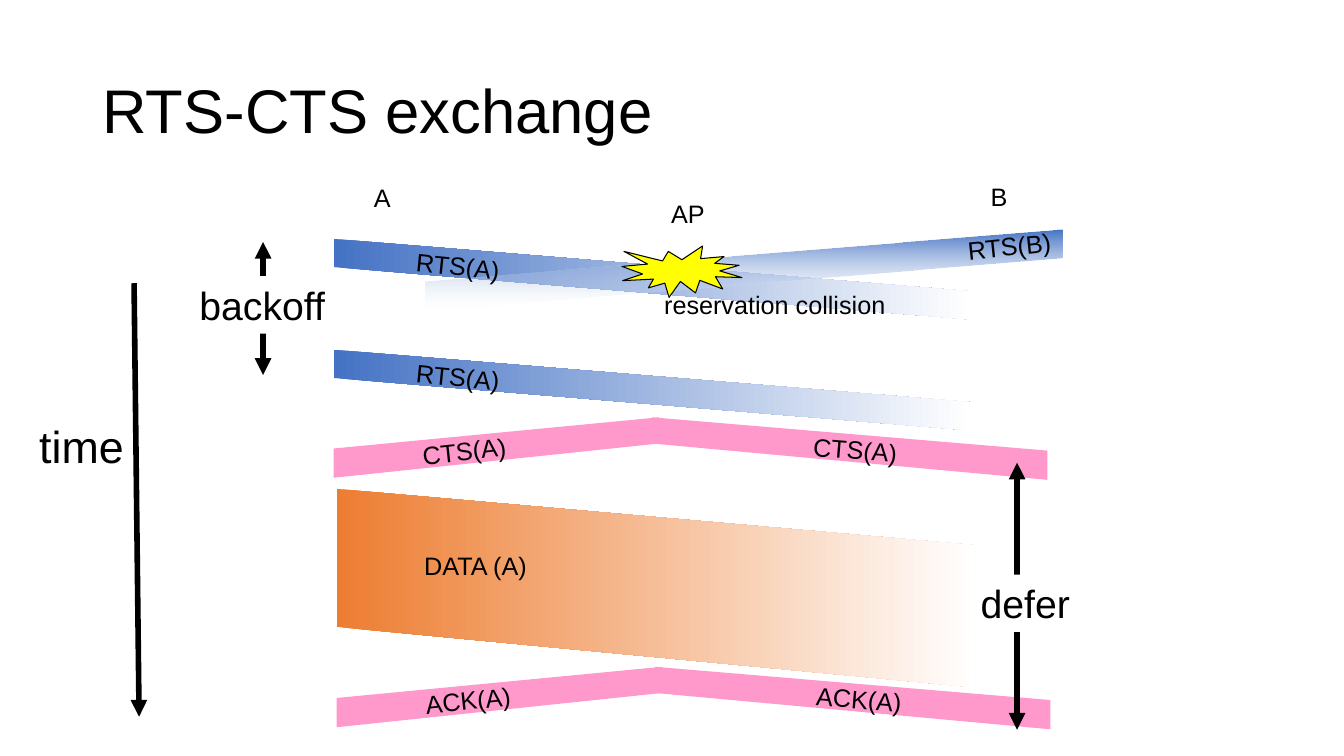
from lxml import etree
from pptx import Presentation
from pptx import util as u
from pptx.dml.color import RGBColor
from pptx.enum import shapes, text
from pptx.oxml.ns import qn

COLORS = {
    "ink": "000000", "paper": "FFFFFF", "request": "4472C4",
    "reply": "FF99CC", "data": "ED7D31", "collision": "FFFF00",
}
RGB = {name: RGBColor.from_string(value) for name, value in COLORS.items()}
CELL = u.Inches(0.1)  # the slide is a grid of 133.33 columns by 75 rows

deck = Presentation()
deck.slide_width, deck.slide_height = round(133.33 * CELL), 75 * CELL
page = deck.slides.add_slide(deck.slide_layouts[6])


def write(words, left, top, width, height=4, size=18, turn=0, plate=False):
    """Add a label; a plate is a white rectangle that hides the arrow behind it."""
    place = [round(n * CELL) for n in (left, top, width, height)]
    if plate:
        box = page.shapes.add_shape(shapes.MSO_SHAPE.RECTANGLE, *place)
        box.shadow.inherit = False
        box.fill.solid()
        box.fill.fore_color.rgb = RGB["paper"]
        box.line.fill.background()
    else:
        box = page.shapes.add_textbox(*place)
    box.rotation = turn
    frame = box.text_frame
    frame.word_wrap = False
    frame.vertical_anchor = text.MSO_ANCHOR.TOP
    para = frame.paragraphs[0]
    para.alignment = text.PP_ALIGN.LEFT
    span = para.add_run()
    span.text = words
    for name, value in {"name": "Arial", "size": u.Pt(size)}.items():
        setattr(span.font, name, value)
    span.font.color.rgb = RGB["ink"]
    return box


def band(left, right, tops, depths, color, angle=None):
    """Add a slanted band; tops and depths are (left, right), an angle fades it to white."""
    corners = [(left, tops[0]), (right, tops[1]),
               (right, tops[1] + depths[1]), (left, tops[0] + depths[0])]
    points = [(round(x * CELL), round(y * CELL)) for x, y in corners]
    builder = page.shapes.build_freeform(*points[0])
    builder.add_line_segments(points[1:], close=True)
    shape = builder.convert_to_shape()
    shape.shadow.inherit = False
    shape.line.fill.background()
    if angle is None:
        shape.fill.solid()
        shape.fill.fore_color.rgb = RGB[color]
    else:
        shape.fill.gradient()
        shape.fill.gradient_angle = angle
        for stop, name in zip(shape.fill.gradient_stops, (color, "paper")):
            stop.color.rgb = RGB[name]
    return shape


title = write("RTS-CTS exchange", 9.2, 4, 115, 14.5, size=44)
title.text_frame.word_wrap = True
title.text_frame.vertical_anchor = text.MSO_ANCHOR.MIDDLE
title.text_frame.paragraphs[0].line_spacing = 0.9

for station, left, top, width in (("A", 36.1, 17.6, 3.8), ("AP", 65.6, 19.2, 5.4),
                                  ("B", 97.3, 17.5, 3.7)):
    write(station, left, top, width)
write("time", 2.9, 41.1, 10.5, 6.4, size=32)

# Requests: A sends twice, B collides with the first
request_tops = (23.7, 34.7)
for top in request_tops:
    band(33.1, 96.3, (top, top + 5.2), (2.8, 2.8), "request", angle=0)
rival = band(42.2, 105.4, (27.9, 22.8), (2.9, 2.8), "request", angle=270)
clear_stop = list(rival.element.iter(qn("a:srgbClr")))[-1]
etree.SubElement(clear_stop, qn("a:alpha")).set("val", "6000")
for top in request_tops:
    write("RTS(A)", 40.3, top + 0.7, 10.7, turn=5.9)
write("RTS(B)", 95, 22.4, 10.4, turn=-5.9)

band(33.4, 96.8, (48.5, 54.1), (13.7, 14.1), "data", angle=0)
write("DATA (A)", 41.1, 54.1, 19.7)

# Replies spread from the access point to both sides
for reply, left, top in (("CTS(A)", 33.1, 41.4), ("ACK(A)", 33.4, 66.15)):
    band(left + 31.6, left + 70.8, (top, top + 3.3), (2.6, 2.9), "reply")
    band(left, left + 32.3, (top + 3.1, top), (2.9, 2.6), "reply")
    write(reply, left + 7.8, top + 1.3, 10.6, turn=-6.3)
    write(reply, left + 46.6, top + 1.2, 10.6, turn=4.6)

burst = page.shapes.add_shape(shapes.MSO_SHAPE.EXPLOSION1, *[
    round(n * CELL) for n in (61.7, 24.4, 11.9, 5.1)])
burst.shadow.inherit = False
burst.fill.solid()
burst.fill.fore_color.rgb = RGB["collision"]
burst.line.color.rgb = RGB["ink"]
burst.line.width = u.Pt(0.75)
write("reservation collision", 64.9, 28.2, 30.9)

for x1, y1, x2, y2, ends in (
    (13.3, 28.1, 13.8, 71.1, ("tailEnd",)),
    (100.9, 45.9, 100.9, 72.4, ("headEnd", "tailEnd")),
    (26.1, 24, 26.1, 37.2, ("headEnd", "tailEnd")),
):
    arrow = page.shapes.add_connector(shapes.MSO_CONNECTOR.STRAIGHT, *[
        round(n * CELL) for n in (x1, y1, x2, y2)])
    arrow.line.color.rgb = RGB["ink"]
    arrow.line.width = u.Pt(4)
    for end in ends:
        etree.SubElement(arrow.line._get_or_add_ln(), qn(f"a:{end}")).set("type", "triangle")
    etree.SubElement(arrow.element.spPr, qn("a:effectLst"))

write("defer", 96.3, 57, 11, 5.7, size=28, plate=True)
write("backoff", 18.8, 27.4, 15.5, 5.7, size=28, plate=True)

deck.save("out.pptx")
